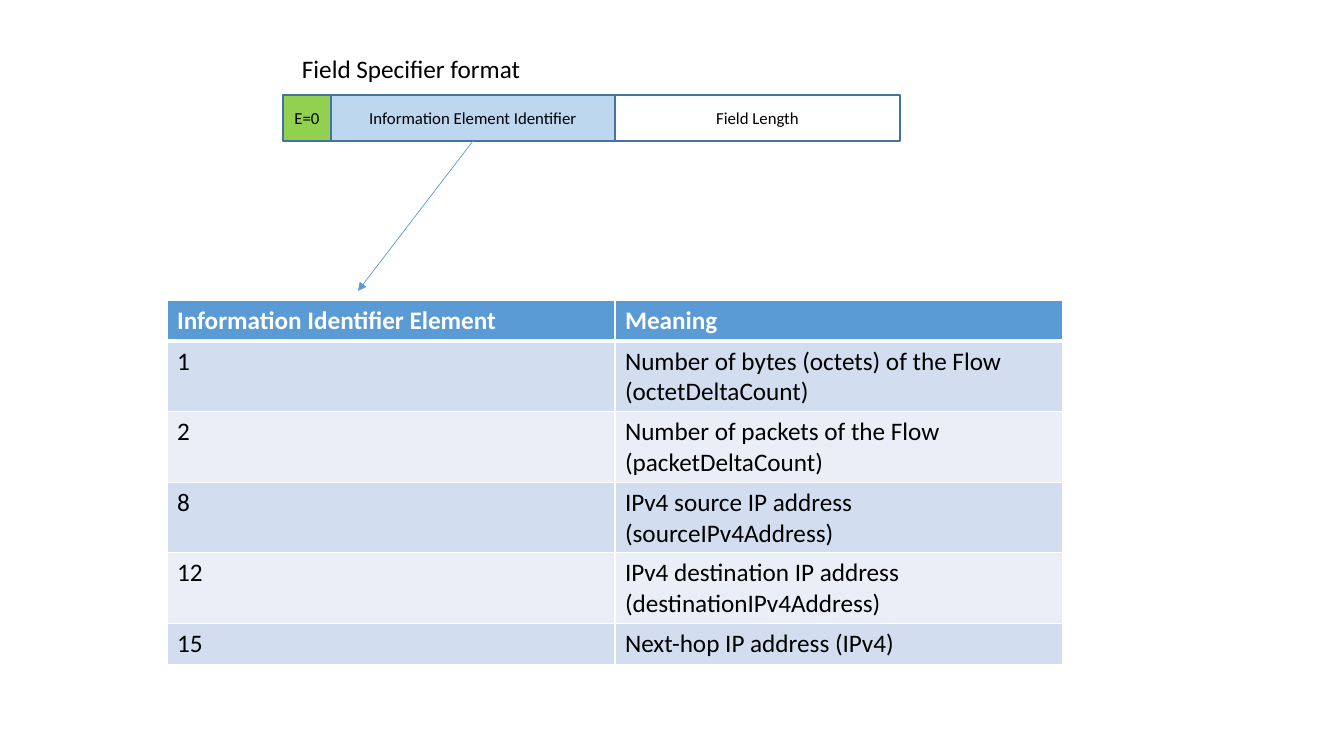
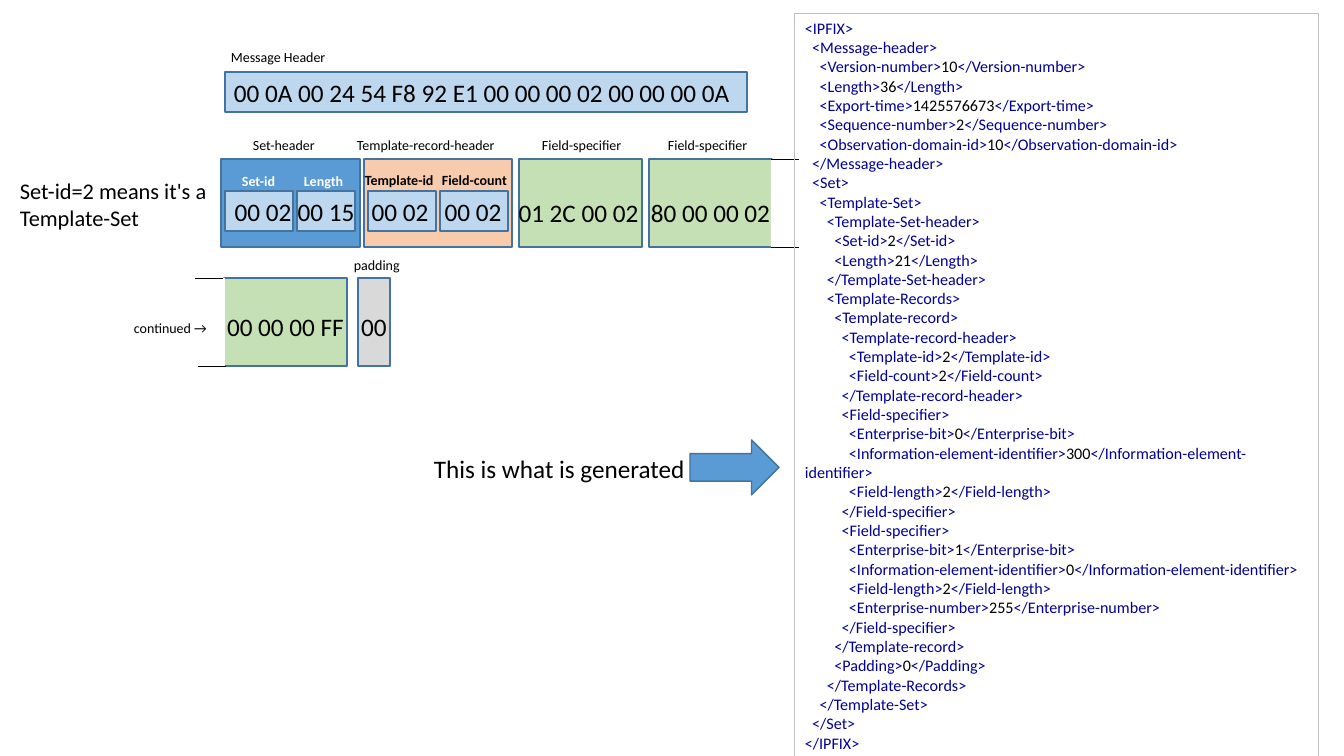
from lxml import etree
from pptx import Presentation
from pptx.dml.color import RGBColor
from pptx.enum.shapes import MSO_CONNECTOR, MSO_SHAPE
from pptx.enum.text import MSO_ANCHOR, PP_ALIGN
from pptx.oxml.ns import qn
from pptx.util import Emu, Pt

PX = 914400 / 100.8
FONT = "Calibri"
C = {name: RGBColor.from_string(value) for name, value in {
    "black": "000000", "white": "FFFFFF", "edge": "43739E", "blue": "5B9BD5",
    "sky": "BDD7EE", "lime": "92D050", "green": "C5E0B4", "peach": "F8CBAD",
    "gray": "D9D9D9", "frame": "BFBFBF", "tag": "000096",
    "band1": "D2DEEF", "band2": "EAEFF7"}.items()}

prs = Presentation()
prs.slide_width, prs.slide_height = Emu(round(1344 * PX)), Emu(round(756 * PX))
spec_slide, message_slide = [prs.slides.add_slide(prs.slide_layouts[6]) for _ in range(2)]


def block(slide, at, text="", size=18, fill=None, edge="edge", color="black",
          bold=False, nudge=(0, 0), wrap=False, kind=MSO_SHAPE.RECTANGLE):
    """Filled shape with centred text, or a plain text box when there is no fill."""
    place = [Emu(round(v * PX)) for v in at]
    if fill:
        shape = slide.shapes.add_shape(kind, *place)
        shape.shadow.inherit = False
        shape.fill.solid()
        shape.fill.fore_color.rgb = C[fill]
        if edge:
            shape.line.color.rgb = C[edge]
            shape.line.width = Pt(1)
        else:
            shape.line.fill.background()
    else:
        shape = slide.shapes.add_textbox(*place)
    frame = shape.text_frame
    frame.word_wrap = wrap
    if text:
        paragraph = frame.paragraphs[0]
        run = paragraph.add_run()
        run.text = text
        run.font.name, run.font.size, run.font.bold = FONT, Pt(size), bold
        run.font.color.rgb = C[color]
        if fill:
            dx, dy = nudge
            frame.vertical_anchor = MSO_ANCHOR.MIDDLE
            paragraph.alignment = PP_ALIGN.CENTER
            frame.margin_left = Emu(round(max(0, 2 * dx) * PX))
            frame.margin_right = Emu(round(max(0, -2 * dx) * PX))
            frame.margin_top, frame.margin_bottom = Emu(round(2 * dy * PX)), 0
    return shape


def rule(slide, x1, y1, x2, y2, color, arrow=False):
    """Thin straight line, with an optional arrowhead at its end."""
    line = slide.shapes.add_connector(
        MSO_CONNECTOR.STRAIGHT, *[Emu(round(v * PX)) for v in (x1, y1, x2, y2)])
    line.line.color.rgb = C[color]
    line.line.width = Pt(0.5)
    properties = line._element.spPr
    if arrow:
        etree.SubElement(properties.find(qn("a:ln")), qn("a:tailEnd"), type="triangle")
    etree.SubElement(properties, qn("a:effectLst"))


# Slide 1: field specifier layout
block(spec_slide, (292, 48, 241, 40), "Field Specifier format")
left = 283
for text, width, fill in [("E=0", 48, "lime"), ("Information Element Identifier", 284, "sky"),
                          ("Field Length", 285, "white")]:
    block(spec_slide, (left, 95, width, 46), text, 12, fill)
    left += width

# Slide 1: table of information elements
rows = [("Information Identifier Element", "Meaning"),
        ("1", "Number of bytes (octets) of the Flow (octetDeltaCount)"),
        ("2", "Number of packets of the Flow (packetDeltaCount)"),
        ("8", "IPv4 source IP address (sourceIPv4Address)"),
        ("12", "IPv4 destination IP address (destinationIPv4Address)"),
        ("15", "Next-hop IP address (IPv4)")]
heights = [41, 70, 70, 70, 70, 41]
table = spec_slide.shapes.add_table(
    len(rows), 2, *[Emu(round(v * PX)) for v in (167, 300, 896, sum(heights))]).table
for column in table.columns:
    column.width = Emu(round(448 * PX))
for r, (texts, height) in enumerate(zip(rows, heights)):
    table.rows[r].height = Emu(round(height * PX))
    for c, text in enumerate(texts):
        cell = table.cell(r, c)
        run = cell.text_frame.paragraphs[0].add_run()
        run.text = text
        run.font.name, run.font.size, run.font.bold = FONT, Pt(18), r == 0
        run.font.color.rgb = C["black" if r else "white"]
        for side in ("lnL", "lnR", "lnT", "lnB"):
            thick = (r, side) in [(0, "lnB"), (1, "lnT")]
            border = etree.SubElement(cell._tc.get_or_add_tcPr(), qn("a:" + side),
                                      w=str(int(Pt(3 if thick else 1))))
            paint = etree.SubElement(border, qn("a:solidFill"))
            etree.SubElement(paint, qn("a:srgbClr"), val=str(C["white"]))
        cell.fill.solid()
        cell.fill.fore_color.rgb = C["blue" if r == 0 else "band1" if r % 2 else "band2"]
rule(spec_slide, 473, 141, 358, 291, "blue", arrow=True)

# Slide 2: message bytes, outer blocks before the ones inside them
for at, text, fill, nudge in [
        ((225, 72, 522, 40), "00 0A 00 24 54 F8 92 E1 00 00 00 02 00 00 00 0A", "sky", (-4, 0)),
        ((221, 159, 139, 88), "", "blue", (0, 0)),
        ((364, 159, 148, 88), "", "peach", (0, 0)),
        ((519, 159, 123, 88), "01 2C 00 02", "green", (-2, 9)),
        ((649, 159, 123, 88), "80 00 00 02", "green", (0, 9)),
        ((225, 191, 68, 40), "00 02", "sky", (4, 0)),
        ((297, 191, 58, 40), "00 15", "sky", (0, 0)),
        ((368, 191, 68, 40), "00 02", "sky", (-2, 0)),
        ((440, 191, 68, 40), "00 02", "sky", (-1, 0)),
        ((224, 278, 123, 88), "00 00 00 FF", "green", (0, 4)),
        ((358, 278, 32, 88), "00", "gray", (0, 4))]:
    block(message_slide, at, text, 18, fill, nudge=nudge)

# Slide 2: open sides where the field specifier continues
for at in [(771, 159, 15, 88), (220, 278, 5, 88)]:
    block(message_slide, at, fill="white", edge=None)
for x, y in [(771, 159), (771, 247), (195, 278), (198, 366)]:
    rule(message_slide, x, y, x + 28, y, "black")

# Slide 2: small labels
for text, x, y, width, color, bold in [
        ("Message Header", 221, 44, 116, "black", False),
        ("Set-header", 243, 132, 84, "black", False),
        ("Template-record-header", 347, 132, 161, "black", False),
        ("Field-specifier", 532, 132, 101, "black", False),
        ("Field-specifier", 658, 132, 101, "black", False),
        ("Set-id", 232, 168, 54, "white", True),
        ("Length", 294, 168, 60, "white", True),
        ("Template-id", 355, 167, 92, "black", True),
        ("Field-count", 432, 167, 87, "black", True),
        ("padding", 344, 252, 66, "black", False),
        ("continued →", 124, 315, 96, "black", False)]:
    block(message_slide, (x, y, width, 27), text, 10, color=color, bold=bold)
block(message_slide, (10, 172, 219, 64), "Set-id=2 means it's a Template-Set", 16, wrap=True)

# Slide 2: outline of the generated XML as depth, tag and value
outline = [
    (0, "IPFIX", ""),
    (1, "Message-header", ""),
    (2, "Version-number", "10"),
    (2, "Length", "36"),
    (2, "Export-time", "1425576673"),
    (2, "Sequence-number", "2"),
    (2, "Observation-domain-id", "10"),
    (1, "Set", ""),
    (2, "Template-Set", ""),
    (3, "Template-Set-header", ""),
    (4, "Set-id", "2"),
    (4, "Length", "21"),
    (3, "Template-Records", ""),
    (4, "Template-record", ""),
    (5, "Template-record-header", ""),
    (6, "Template-id", "2"),
    (6, "Field-count", "2"),
    (5, "Field-specifier", ""),
    (6, "Enterprise-bit", "0"),
    (6, "Information-element-identifier", "300"),
    (6, "Field-length", "2"),
    (5, "Field-specifier", ""),
    (6, "Enterprise-bit", "1"),
    (6, "Information-element-identifier", "0"),
    (6, "Field-length", "2"),
    (6, "Enterprise-number", "255"),
    (4, "Padding", "0")]

# Slide 2: lines of the listing, closing each parent when the depth drops
lines, parents = [], []
for depth, tag, value in outline + [(0, "", "")]:
    while parents and parents[-1][0] >= depth:
        level, parent = parents.pop()
        lines.append((level, [(f"</{parent}>", "tag")]))
    if value:
        lines.append((depth, [(f"<{tag}>", "tag"), (value, "black"), (f"</{tag}>", "tag")]))
    elif tag:
        lines.append((depth, [(f"<{tag}>", "tag")]))
        parents.append((depth, tag))

# Slide 2: listing, one paragraph a line, indented by depth
listing = block(message_slide, (795, 13, 524, 752), wrap=True)
listing.line.color.rgb = C["frame"]
listing.line.width = Pt(0.75)
frame = listing.text_frame
for i, (depth, parts) in enumerate(lines):
    paragraph = frame.add_paragraph() if i else frame.paragraphs[0]
    properties = paragraph._p.get_or_add_pPr()
    properties.set("marL", "0")
    properties.set("indent", str(round(depth * 7.35 * PX)))
    for text, color in parts:
        run = paragraph.add_run()
        run.text = text
        run.font.name, run.font.size = FONT, Pt(11.5)
        run.font.color.rgb = C[color]

# Slide 2: pointer to the listing
block(message_slide, (690, 440, 89, 55), fill="blue", kind=MSO_SHAPE.RIGHT_ARROW)
block(message_slide, (424, 448, 274, 40), "This is what is generated")

prs.save("out.pptx")
